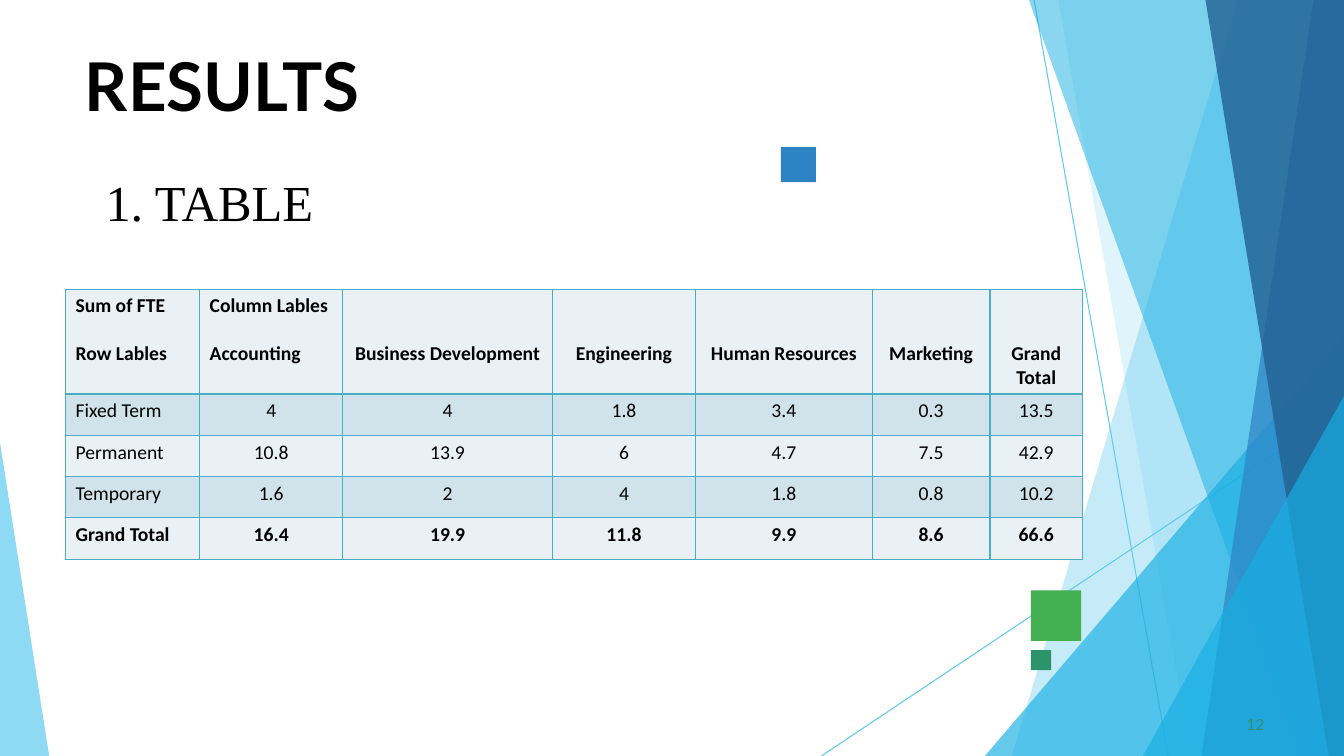
from lxml.etree import SubElement
from pptx import Presentation
from pptx.dml.color import RGBColor
from pptx.enum.shapes import MSO_CONNECTOR as Connector, MSO_SHAPE as Shape
from pptx.enum.text import PP_ALIGN as Align
from pptx.oxml.ns import qn
from pptx.util import Cm, Pt

WIDTH, HEIGHT = 33.87, 19.05
COLORS = {
    "black": "000000", "sky": "5FCAEE", "cyan": "17AFE3", "blue": "2D83C3",
    "navy": "226192", "green": "42AF51", "teal": "2D936B",
    "border": "4BACC6", "light_row": "E9F1F5", "dark_row": "D0E3EA",
}

# Right-hand facets: top x, top y, bottom x, colour, opacity in percent
FACETS = [
    (31.19, 0, 25.5, "sky", 36),
    (26.67, 0, 30.02, "sky", 20),
    (WIDTH, 8.46, 24.82, "cyan", 66),
    (25.93, 0, 32.79, "cyan", 50),
    (33.1, 0, 30.28, "blue", 70),
    (30.38, 0, 33.48, "navy", 80),
    (WIDTH, 9.98, 28.8, "cyan", 66),
]
# Squares: left, top, side, colour
SQUARES = [
    (25.98, 14.88, 1.27, "green"),
    (19.68, 3.71, 0.88, "blue"),
    (25.98, 16.38, 0.51, "teal"),
]
COLUMN_WIDTHS = [3.38, 3.61, 5.28, 3.61, 4.45, 2.97, 2.33]
ROW_HEIGHTS = [2.62, 1.04, 1.04, 1.04, 1.04]
FTE_ROWS = [
    ["Sum of FTE\nRow Lables", "Column Lables\nAccounting", "Business Development",
     "Engineering", "Human Resources", "Marketing", "Grand Total"],
    ["Fixed Term", "4", "4", "1.8", "3.4", "0.3", "13.5"],
    ["Permanent", "10.8", "13.9", "6", "4.7", "7.5", "42.9"],
    ["Temporary", "1.6", "2", "4", "1.8", "0.8", "10.2"],
    ["Grand Total", "16.4", "19.9", "11.8", "9.9", "8.6", "66.6"],
]
LINE_PITCH = 17  # points per line of table text


def rgb(name):
    return RGBColor.from_string(COLORS[name])


def paint(shape, color, opacity=100):
    shape.shadow.inherit = False
    shape.line.fill.background()
    shape.fill.solid()
    shape.fill.fore_color.rgb = rgb(color)
    if opacity < 100:
        tint = shape.fill._xPr.find(".//" + qn("a:srgbClr"))
        SubElement(tint, qn("a:alpha"), val=str(opacity * 1000))


def add_polygon(page, points, color, opacity):
    corners = [(Cm(x), Cm(y)) for x, y in dict.fromkeys(points)]
    builder = page.shapes.build_freeform(*corners[0])
    builder.add_line_segments(corners[1:], close=True)
    paint(builder.convert_to_shape(), color, opacity)


def add_thin_line(page, start_x, start_y, end_x, end_y):
    line = page.shapes.add_connector(
        Connector.STRAIGHT, Cm(start_x), Cm(start_y), Cm(end_x), Cm(end_y))
    line.line.color.rgb = rgb("sky")
    line.line.width = Pt(0.75)
    SubElement(line._element.spPr, qn("a:effectLst"))


def add_square(page, left, top, side, color):
    square = page.shapes.add_shape(Shape.RECTANGLE, Cm(left), Cm(top), Cm(side), Cm(side))
    paint(square, color)


def style_font(font, name, size, color="black", bold=False):
    font.name, font.size, font.bold = name, Pt(size), bold
    font.color.rgb = rgb(color)


def add_text(page, text, place, margins, font_name, size, color="black", bold=False):
    box = page.shapes.add_textbox(*(Cm(value) for value in place))
    frame = box.text_frame
    frame.word_wrap = True
    (frame.margin_left, frame.margin_top,
     frame.margin_right, frame.margin_bottom) = (Cm(value) for value in margins)
    frame.text = text
    for span in frame.paragraphs[0].runs:
        style_font(span.font, font_name, size, color, bold)


def add_borders(cell):
    properties = cell._tc.get_or_add_tcPr()
    for index, side in enumerate(("a:lnL", "a:lnR", "a:lnT", "a:lnB")):
        edge = properties.makeelement(qn(side), {"w": str(Pt(1))})
        fill = SubElement(edge, qn("a:solidFill"))
        SubElement(fill, qn("a:srgbClr"), val=COLORS["border"])
        properties.insert(index, edge)


def fill_cell(cell, text, row, column):
    cell.fill.solid()
    cell.fill.fore_color.rgb = rgb("dark_row" if row % 2 else "light_row")
    add_borders(cell)
    cell.text_frame.text = text
    if row == 0 and "\n" not in text:
        cell.margin_top += Pt(2 * LINE_PITCH)  # level with the lower labels
    for index, paragraph in enumerate(cell.text_frame.paragraphs):
        if index:
            paragraph.space_before = Pt(LINE_PITCH)
        if column and "\n" not in text:
            paragraph.alignment = Align.CENTER
        for span in paragraph.runs:
            style_font(span.font, "Calibri", 14, bold=row in (0, len(FTE_ROWS) - 1))


def add_fte_table(page, left, top):
    table = page.shapes.add_table(
        len(ROW_HEIGHTS), len(COLUMN_WIDTHS), Cm(left), Cm(top),
        Cm(sum(COLUMN_WIDTHS)), Cm(sum(ROW_HEIGHTS))).table
    table.first_row = table.horz_banding = False
    for column, width in zip(table.columns, COLUMN_WIDTHS):
        column.width = Cm(width)
    for row, height in zip(table.rows, ROW_HEIGHTS):
        row.height = Cm(height)
    for row, texts in enumerate(FTE_ROWS):
        for column, text in enumerate(texts):
            fill_cell(table.cell(row, column), text, row, column)


def main():
    deck = Presentation()
    deck.slide_width, deck.slide_height = Cm(WIDTH), Cm(HEIGHT)
    page = deck.slides.add_slide(deck.slide_layouts[6])

    # Faceted backdrop
    add_thin_line(page, 26.06, 0, 29.44, HEIGHT)
    add_thin_line(page, WIDTH, 10.26, 20.7, HEIGHT)
    for top_x, top_y, bottom_x, color, opacity in FACETS:
        outline = [(WIDTH, top_y), (top_x, top_y), (bottom_x, HEIGHT), (WIDTH, HEIGHT)]
        add_polygon(page, outline, color, opacity)
    add_polygon(page, [(0, 11.15), (0, HEIGHT), (1.24, HEIGHT)], "sky", 70)

    # Accent squares
    for square in SQUARES:
        add_square(page, *square)

    # Heading, page number, table and its caption
    add_text(page, "RESULTS", (2.11, 1.07, 9.32, 2.11), (0.03, 0.06, 0, 0),
             "Lato", 48, bold=True)
    add_text(page, "12", (31.32, 17.98, 0.64, 0.53), (0.1, 0.05, 0, 0),
             "Lato", 11, "teal")
    add_fte_table(page, 1.65, 7.29)
    add_text(page, "1. TABLE", (2.41, 4.17, 8.69, 1.8), (0.25, 0.13, 0.25, 0.13),
             "Times New Roman", 36)

    deck.save("out.pptx")


if __name__ == "__main__":
    main()
